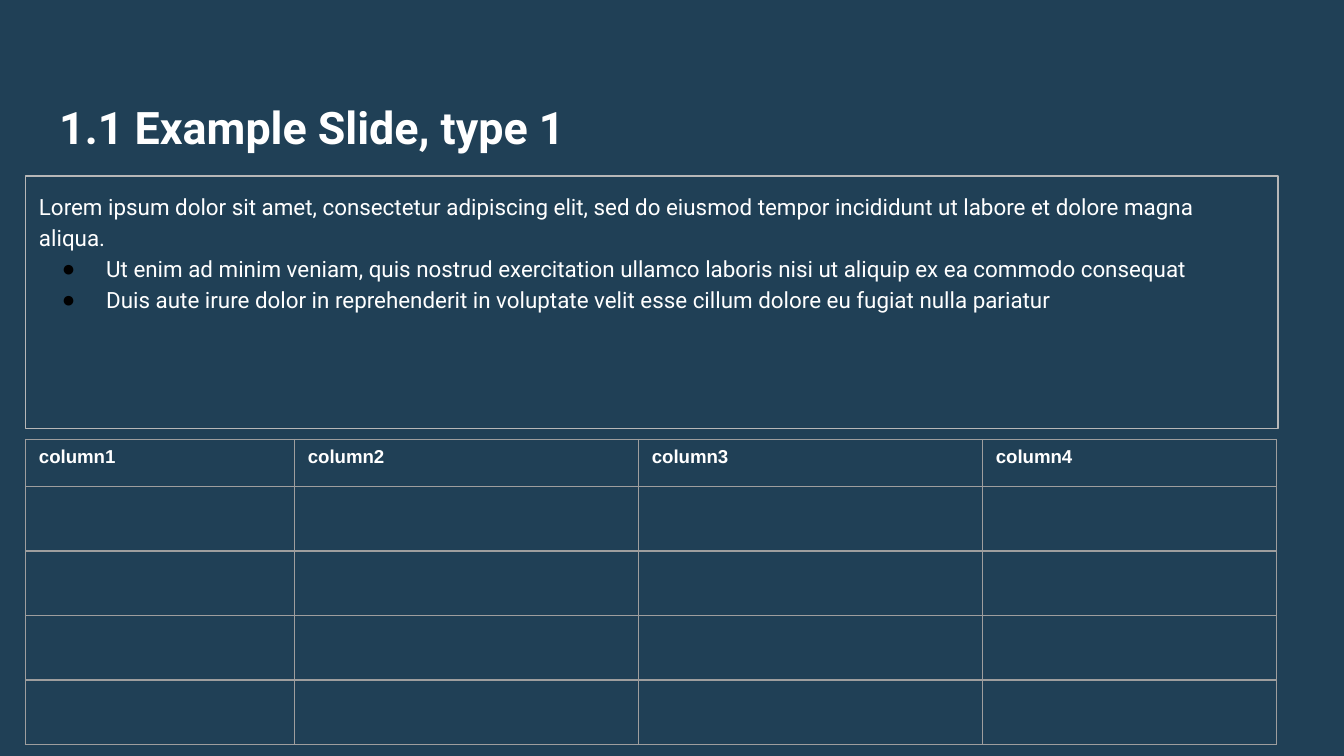
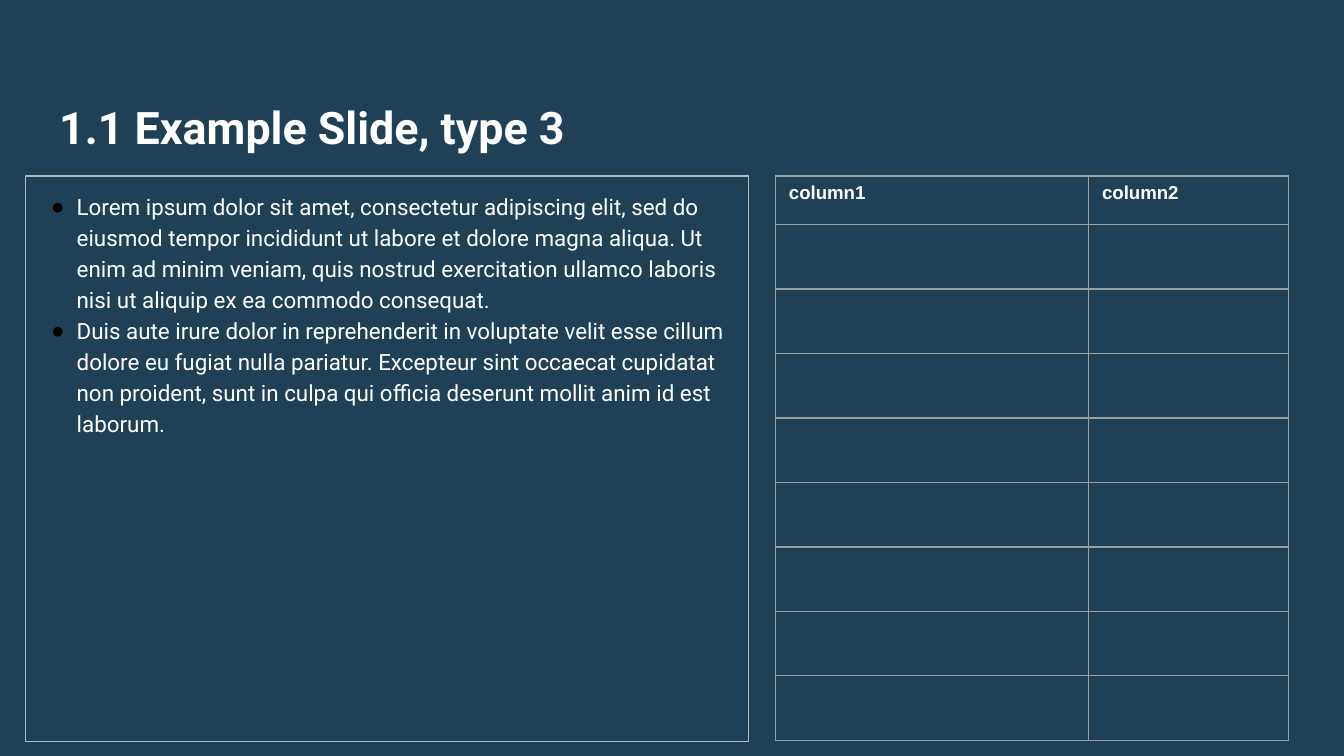
"""Build two dark example slides, each with a title, an outlined text box and a table."""
from dataclasses import dataclass

import lxml.etree
import pptx
import pptx.dml.color
import pptx.enum.text
import pptx.oxml.ns
import pptx.presentation
import pptx.shapes.placeholder
import pptx.slide
import pptx.table
import pptx.text.text
import pptx.util

Inches = pptx.util.Inches
Pt = pptx.util.Pt


@dataclass(frozen=True)
class Theme:
    background: str = "204056"
    text: str = "FFFFFF"
    bullet: str = "000000"
    box_line: str = "B7B7B7"
    table_line: str = "9E9E9E"
    text_font: str = "Roboto"
    table_font: str = "Arial"
    bullet_font: str = "Arial"
    title_size: int = 24
    body_size: int = 12
    table_size: int = 10
    line_width: float = 0.74
    line_spacing: float = 1.15
    inset: float = 0.1
    header_opacity: int = 82


@dataclass(frozen=True)
class Box:
    left: float
    top: float
    width: float
    height: float


@dataclass(frozen=True)
class Item:
    text: str
    margin: float = 0
    indent: float = 0

    @property
    def bulleted(self) -> bool:
        return self.indent < 0


@dataclass(frozen=True)
class TextPanel:
    box: Box
    items: tuple[Item, ...]
    left_inset: float


@dataclass(frozen=True)
class Grid:
    left: float
    top: float
    column_widths: tuple[float, ...]
    header_height: float
    empty_rows: int
    row_height: float = 0.48


@dataclass(frozen=True)
class SlideContent:
    title: str
    panel: TextPanel
    grid: Grid


THEME = Theme()
SLIDE_WIDTH = 10
SLIDE_HEIGHT = SLIDE_WIDTH * 9 / 16
TITLE_BOX = Box(0.34, 0.32, 9.32, 0.92)
PANEL_LEFT, PANEL_TOP = 0.19, 1.31

SLIDES = (
    SlideContent(
        "1.1 Example Slide, type 1",
        TextPanel(
            Box(PANEL_LEFT, PANEL_TOP, 9.32, 1.88),
            (
                Item("Lorem ipsum dolor sit amet, consectetur adipiscing elit, sed do eiusmod "
                     "tempor incididunt ut labore et dolore magna aliqua. "),
                Item("Ut enim ad minim veniam, quis nostrud exercitation ullamco laboris nisi "
                     "ut aliquip ex ea commodo consequat", 0.5, -0.33),
                Item("Duis aute irure dolor in reprehenderit in voluptate velit esse cillum "
                     "dolore eu fugiat nulla pariatur", 0.5, -0.33),
            ),
            left_inset=THEME.inset,
        ),
        Grid(PANEL_LEFT, 3.27, (2, 2.56, 2.56, 2.19), header_height=0.35, empty_rows=4),
    ),
    SlideContent(
        "1.1 Example Slide, type 3",
        TextPanel(
            Box(PANEL_LEFT, PANEL_TOP, 5.38, 4.21),
            (
                Item("Lorem ipsum dolor sit amet, consectetur adipiscing elit, sed do eiusmod "
                     "tempor incididunt ut labore et dolore magna aliqua. Ut enim ad minim "
                     "veniam, quis nostrud exercitation ullamco laboris nisi ut aliquip ex ea "
                     "commodo consequat. ", 0.19, -0.21),
                Item("Duis aute irure dolor in reprehenderit in voluptate velit esse cillum "
                     "dolore eu fugiat nulla pariatur. Excepteur sint occaecat cupidatat non "
                     "proident, sunt in culpa qui officia deserunt mollit anim id est laborum.",
                     0.19, -0.21),
            ),
            left_inset=0.19,
        ),
        Grid(5.77, PANEL_TOP, (2.33, 1.49), header_height=0.36, empty_rows=8),
    ),
)


def rgb(color: str) -> pptx.dml.color.RGBColor:
    """Turn a hex string into a colour."""
    return pptx.dml.color.RGBColor.from_string(color)


def add_element(parent: lxml.etree._Element, tag: str, **attributes: str) -> lxml.etree._Element:
    """Append a DrawingML child element."""
    return lxml.etree.SubElement(parent, pptx.oxml.ns.qn(f"a:{tag}"), attributes)


def set_font(paragraph: pptx.text.text._Paragraph, name: str, size: int, bold: bool) -> None:
    """Set the font that all runs of the paragraph share."""
    font = paragraph.font
    font.name, font.size, font.bold = name, Pt(size), bold
    font.color.rgb = rgb(THEME.text)


def place_placeholder(shape: pptx.shapes.placeholder.SlidePlaceholder, box: Box,
                      anchor: pptx.enum.text.MSO_ANCHOR, left_inset: float) -> None:
    """Move a placeholder and set up its text frame."""
    shape.left, shape.top = Inches(box.left), Inches(box.top)
    shape.width, shape.height = Inches(box.width), Inches(box.height)
    frame = shape.text_frame
    frame.word_wrap = True
    frame.auto_size = pptx.enum.text.MSO_AUTO_SIZE.NONE
    frame.vertical_anchor = anchor
    frame.margin_left = Inches(left_inset)
    frame.margin_top = frame.margin_right = frame.margin_bottom = Inches(THEME.inset)


def draw_title(slide: pptx.slide.Slide, text: str) -> None:
    """Fill the title placeholder."""
    title = slide.shapes.title
    place_placeholder(title, TITLE_BOX, pptx.enum.text.MSO_ANCHOR.BOTTOM, THEME.inset)
    paragraph = title.text_frame.paragraphs[0]
    paragraph.text = text
    paragraph.alignment = pptx.enum.text.PP_ALIGN.LEFT
    set_font(paragraph, THEME.text_font, THEME.title_size, True)


def format_item(paragraph: pptx.text.text._Paragraph, item: Item) -> None:
    """Write one item with its indent, spacing and bullet."""
    paragraph.text = item.text
    paragraph.line_spacing = THEME.line_spacing
    paragraph.space_before = Pt(0)
    properties = paragraph._p.get_or_add_pPr()
    properties.set("marL", str(Inches(item.margin)))
    properties.set("indent", str(Inches(item.indent)))
    if item.bulleted:
        add_element(add_element(properties, "buClr"), "srgbClr", val=THEME.bullet)
        add_element(properties, "buFont", typeface=THEME.bullet_font)
        add_element(properties, "buChar", char="●")
    else:
        add_element(properties, "buNone")
    set_font(paragraph, THEME.text_font, THEME.body_size, False)


def draw_panel(slide: pptx.slide.Slide, panel: TextPanel) -> None:
    """Fill the body placeholder and outline it."""
    body = slide.placeholders[1]
    place_placeholder(body, panel.box, pptx.enum.text.MSO_ANCHOR.TOP, panel.left_inset)
    body.line.color.rgb = rgb(THEME.box_line)
    body.line.width = Pt(THEME.line_width)
    frame = body.text_frame
    for index, item in enumerate(panel.items):
        format_item(frame.add_paragraph() if index else frame.paragraphs[0], item)


def outline_cell(cell: pptx.table._Cell) -> None:
    """Draw all four borders of a cell."""
    properties = cell._tc.get_or_add_tcPr()
    for side in ("lnL", "lnR", "lnT", "lnB"):
        border = add_element(properties, side, w=str(Pt(THEME.line_width)))
        add_element(add_element(border, "solidFill"), "srgbClr", val=THEME.table_line)


def format_header(cell: pptx.table._Cell, text: str) -> None:
    """Write a header cell on a translucent fill."""
    cell.fill.solid()
    cell.fill.fore_color.rgb = rgb(THEME.background)
    color = cell._tc.tcPr.find(pptx.oxml.ns.qn("a:solidFill"))[0]
    add_element(color, "alpha", val=str(THEME.header_opacity * 1000))
    paragraph = cell.text_frame.paragraphs[0]
    paragraph.text = text
    set_font(paragraph, THEME.table_font, THEME.table_size, True)


def draw_grid(slide: pptx.slide.Slide, grid: Grid) -> None:
    """Draw a table with numbered headers and empty rows."""
    heights = (grid.header_height,) + (grid.row_height,) * grid.empty_rows
    table = slide.shapes.add_table(
        len(heights), len(grid.column_widths), Inches(grid.left), Inches(grid.top),
        Inches(sum(grid.column_widths)), Inches(sum(heights))).table
    table.first_row = table.horz_banding = False
    for column, width in zip(table.columns, grid.column_widths):
        column.width = Inches(width)
    for row, height in zip(table.rows, heights):
        row.height = Inches(height)
    for cell in table.iter_cells():
        outline_cell(cell)
        cell.fill.background()
    for number, cell in enumerate(table.rows[0].cells, start=1):
        format_header(cell, f"column{number}")


def draw_slide(presentation: pptx.presentation.Presentation, content: SlideContent) -> None:
    """Add one slide with title, text panel and table."""
    slide = presentation.slides.add_slide(presentation.slide_layouts[1])
    draw_title(slide, content.title)
    draw_panel(slide, content.panel)
    draw_grid(slide, content.grid)


def main() -> None:
    """Build and save the presentation."""
    presentation = pptx.Presentation()
    presentation.slide_width = Inches(SLIDE_WIDTH)
    presentation.slide_height = Inches(SLIDE_HEIGHT)
    background = presentation.slide_master.background.fill
    background.solid()
    background.fore_color.rgb = rgb(THEME.background)
    for content in SLIDES:
        draw_slide(presentation, content)
    presentation.save("out.pptx")


main()
